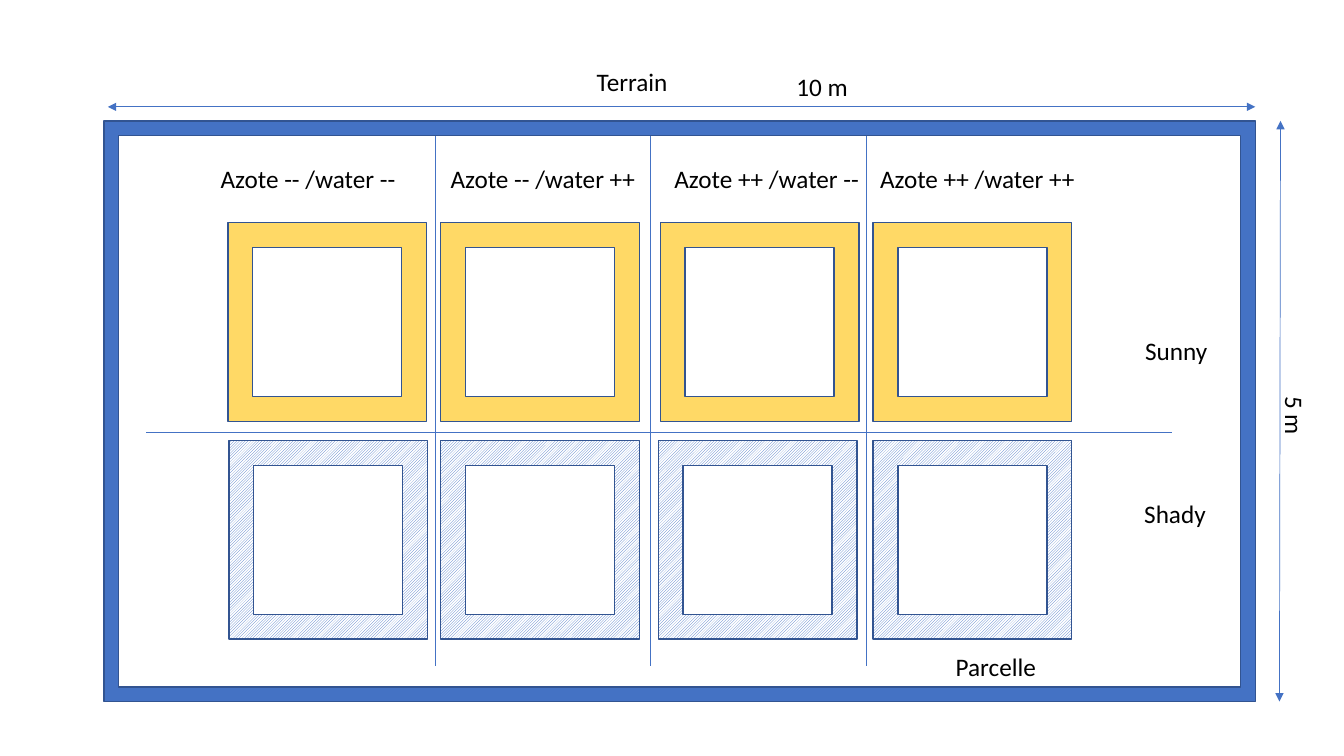
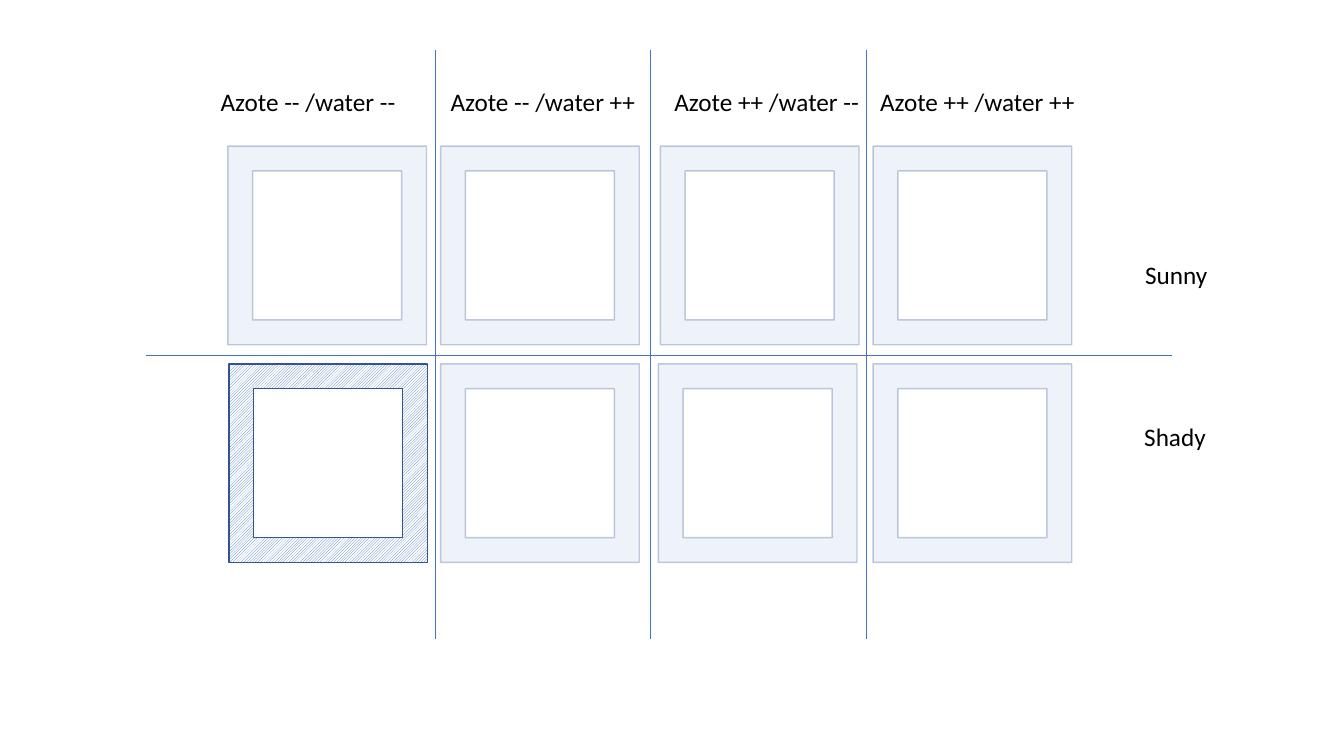
from lxml import etree
from pptx import Presentation
from pptx.dml.color import RGBColor
from pptx.enum.dml import MSO_PATTERN
from pptx.enum.shapes import MSO_CONNECTOR as CONNECTOR, MSO_SHAPE as SHAPE
from pptx.enum.text import MSO_AUTO_SIZE as AUTO_SIZE
from pptx.oxml.ns import qn
from pptx.util import Pt

EMU_PER_PX = 9144  # 100 px to the inch
COLORS = {"blue": "4472C4", "outline": "325491", "sun": "FFD966",
          "white": "FFFFFF", "text": "000000"}
FONT = "Calibri"
PLOT_SIZE = 197
ROW_GAP = 216
DIVIDERS = (432, 645, 859)
# Label, label left, label width, sunny plot left, shady plot left
TREATMENTS = (
    ("Azote -- /water --", 209, 201, 226, 227),
    ("Azote -- /water ++", 437, 211, 437, 437),
    ("Azote ++ /water --", 659, 211, 655, 653),
    ("Azote ++ /water ++", 863, 221, 866, 866),
)


def px(length):
    return length * EMU_PER_PX


def color(name):
    return RGBColor.from_string(COLORS[name])


def set_opacity(parent, percent):
    for tint in parent.iter(qn("a:srgbClr")):
        etree.SubElement(tint, qn("a:alpha"), val=str(percent * 1000))


class FieldPlan:
    """Holds the deck, its style and the slide being drawn."""

    def __init__(self):
        self.deck = Presentation()
        self.deck.slide_width = px(1333)
        self.deck.slide_height = px(750)
        self.slide = None

    def new_slide(self):
        self.slide = self.deck.slides.add_slide(self.deck.slide_layouts[6])

    def frame(self, left, top, width, height, look, band=None):
        """Look is a colour name, "shade" (hatched) or "faded" (see-through)."""
        box = self.slide.shapes.add_shape(
            SHAPE.FRAME, px(left), px(top), px(width), px(height))
        box.shadow.inherit = False
        if band is not None:
            box.adjustments[0] = band
        if look == "shade":
            box.fill.patterned()
            box.fill.pattern = MSO_PATTERN.DARK_UPWARD_DIAGONAL
            box.fill.fore_color.rgb = color("blue")
            box.fill.back_color.rgb = color("white")
        else:
            box.fill.solid()
            box.fill.fore_color.rgb = color("blue" if look == "faded" else look)
        box.line.color.rgb = color("outline")
        box.line.width = Pt(1)
        if look == "faded":
            properties = box._element.spPr
            set_opacity(properties.find(qn("a:solidFill")), 9)
            set_opacity(properties.find(qn("a:ln")), 29)

    def line(self, x1, y1, x2, y2, arrows=False):
        connector = self.slide.shapes.add_connector(
            CONNECTOR.STRAIGHT, px(x1), px(y1), px(x2), px(y2))
        connector.line.color.rgb = color("blue")
        connector.line.width = Pt(0.5)
        properties = connector._element.spPr
        if arrows:
            outline = properties.find(qn("a:ln"))
            for end in ("a:headEnd", "a:tailEnd"):
                etree.SubElement(outline, qn(end), type="triangle")
        etree.SubElement(properties, qn("a:effectLst"))

    def label(self, text, left, top, width, rotation=0):
        box = self.slide.shapes.add_textbox(px(left), px(top), px(width), px(40))
        box.rotation = rotation
        box.text_frame.word_wrap = False
        box.text_frame.auto_size = AUTO_SIZE.SHAPE_TO_FIT_TEXT
        span = box.text_frame.paragraphs[0].add_run()
        span.text = text
        span.font.name = FONT
        span.font.size = Pt(18)
        span.font.color.rgb = color("text")

    def treatment_grid(self, top, looks, divider_top, divider_bottom):
        """Draws the plots from top down; looks gives one row each for sun and shade."""
        for row, row_looks in enumerate(looks):
            for treatment, look in zip(TREATMENTS, row_looks):
                self.frame(treatment[3 + row], top + row * ROW_GAP,
                           PLOT_SIZE, PLOT_SIZE, look)
        for x in DIVIDERS:
            self.line(x, divider_top, x, divider_bottom)
        self.line(145, top + 208, 1162, top + 208)
        for text, left, width, *_ in TREATMENTS:
            self.label(text, left, top - 64, width)
        self.label("Sunny", 1126, top + 107, 83)
        self.label("Shady", 1125, top + 268, 82)


def draw_terrain(plan):
    plan.new_slide()
    plan.treatment_grid(221, (["sun"] * 4, ["shade"] * 4), 126, 661)
    plan.frame(103, 120, 1142, 576, "blue", band=0.025)
    plan.label("Terrain", 582, 61, 91)
    plan.label("Parcelle", 938, 641, 101)
    plan.line(107, 106, 1245, 106, arrows=True)
    plan.label("10 m", 780, 66, 72)
    plan.label("5 m", 1255, 393, 59, rotation=90)
    plan.line(1270, 120, 1269, 696, arrows=True)


def draw_single_plot(plan):
    plan.new_slide()
    plan.treatment_grid(145, (["faded"] * 4, ["shade"] + ["faded"] * 3), 50, 634)


def main():
    plan = FieldPlan()
    draw_terrain(plan)
    draw_single_plot(plan)
    plan.deck.save("out.pptx")


if __name__ == "__main__":
    main()
